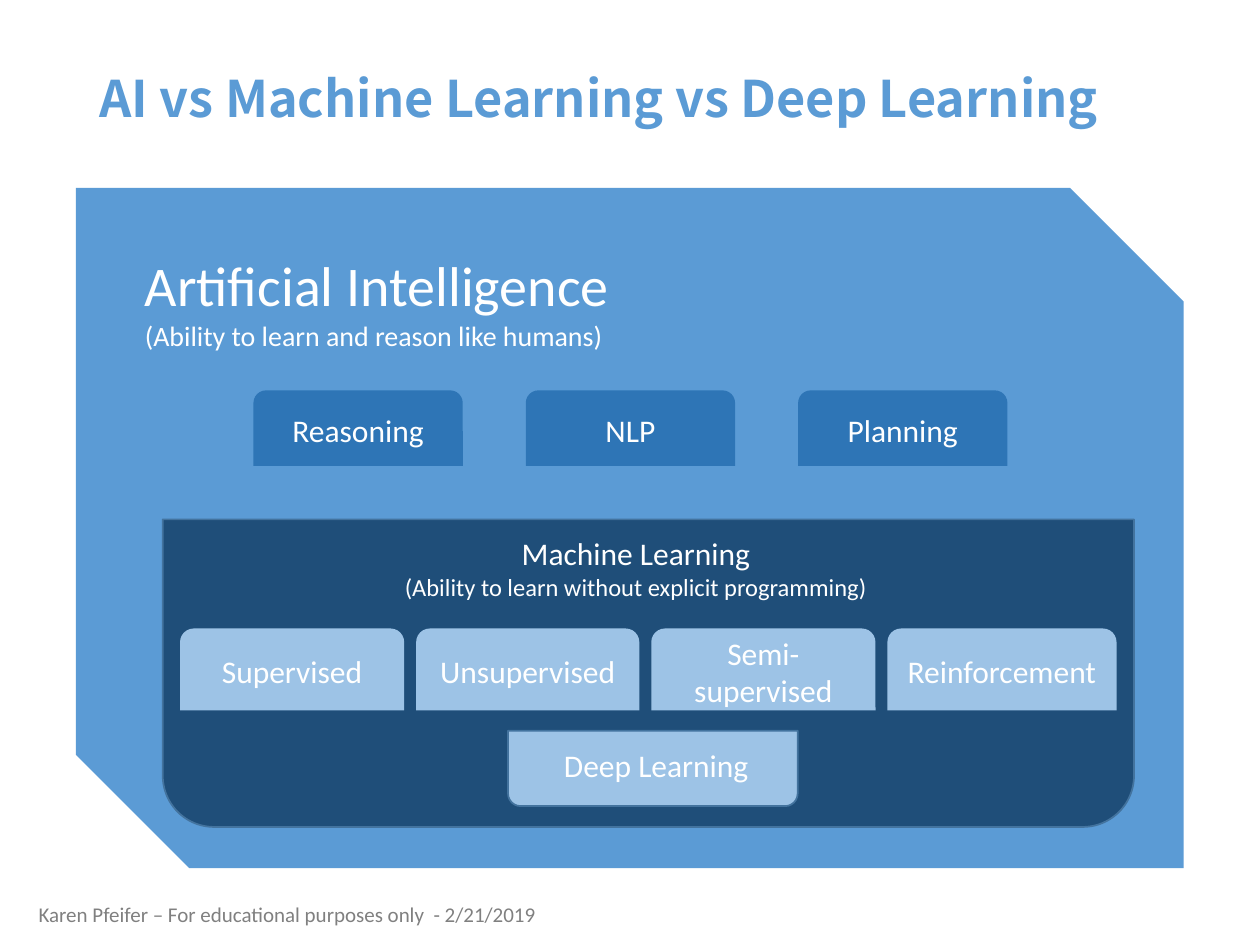
"""Build a slide that nests deep learning in machine learning in artificial intelligence."""
from dataclasses import dataclass

import pptx
import pptx.dml.color
import pptx.enum.shapes
import pptx.enum.text
import pptx.util

Cm = pptx.util.Cm
Color = pptx.dml.color.RGBColor
Preset = pptx.enum.shapes.MSO_SHAPE
Align = pptx.enum.text.PP_ALIGN
Anchor = pptx.enum.text.MSO_ANCHOR

WHITE = Color(0xFF, 0xFF, 0xFF)
GRAY = Color(0x80, 0x80, 0x80)
SKY = Color(0x5B, 0x9B, 0xD5)
BLUE = Color(0x2E, 0x75, 0xB6)
NAVY = Color(0x1F, 0x4E, 0x79)
PALE = Color(0x9D, 0xC3, 0xE6)
OUTLINE = Color(0x43, 0x73, 0x9E)


@dataclass(frozen=True)
class Box:
    """Position and size in centimetres."""
    left: float
    top: float
    width: float
    height: float

    def lengths(self) -> list:
        """Return the four lengths for python-pptx."""
        return [Cm(value) for value in (self.left, self.top, self.width, self.height)]


@dataclass(frozen=True)
class Line:
    """One paragraph and its look."""
    text: str
    size: float
    color: Color = WHITE
    font: str = "Calibri"
    bold: bool = False


@dataclass(frozen=True)
class TileRow:
    """A row of labelled tiles with equal gaps."""
    labels: tuple
    widths: tuple
    left: float
    top: float
    height: float
    gap: float
    fill: Color


def write(shape, lines: list, align=Align.LEFT, anchor=Anchor.TOP) -> None:
    """Fill a shape with formatted paragraphs."""
    frame = shape.text_frame
    frame.word_wrap = True
    frame.auto_size = pptx.enum.text.MSO_AUTO_SIZE.NONE
    frame.vertical_anchor = anchor
    frame.text = "\n".join(line.text for line in lines)
    for paragraph, line in zip(frame.paragraphs, lines):
        paragraph.alignment = align
        paragraph.font.name = line.font
        paragraph.font.size = pptx.util.Pt(line.size)
        paragraph.font.bold = line.bold
        paragraph.font.color.rgb = line.color


def add_panel(slide, preset, box: Box, fill: Color, outlined: bool = False, rotation: int = 0):
    """Add a filled shape without a shadow."""
    shape = slide.shapes.add_shape(preset, *box.lengths())
    shape.shadow.inherit = False
    shape.rotation = rotation
    shape.fill.solid()
    shape.fill.fore_color.rgb = fill
    if outlined:
        shape.line.color.rgb = OUTLINE
        shape.line.width = pptx.util.Pt(1)
    else:
        shape.line.fill.background()
    return shape


def add_label(slide, box: Box, lines: list, align=Align.CENTER):
    """Add a text box."""
    label = slide.shapes.add_textbox(*box.lengths())
    write(label, lines, align)
    return label


def add_tiles(slide, row: TileRow) -> None:
    """Add a row of tiles from left to right."""
    left = row.left
    for label, width in zip(row.labels, row.widths):
        box = Box(left, row.top, width, row.height)
        tile = add_panel(slide, Preset.ROUND_2_SAME_RECTANGLE, box, row.fill)
        write(tile, [Line(label, 18)], Align.CENTER, Anchor.MIDDLE)
        left += width + row.gap


def build() -> None:
    """Build and save the presentation."""
    presentation = pptx.Presentation()
    presentation.slide_width, presentation.slide_height = Cm(25.4), Cm(19.05)
    slide = presentation.slides.add_slide(presentation.slide_layouts[5])

    title = slide.shapes.title
    title.left, title.top, title.width, title.height = Box(1.75, 1.02, 21.9, 2.03).lengths()
    write(title, [Line("AI vs Machine Learning vs Deep Learning", 28.8, SKY, "Noto Sans CJK KR", True)],
          anchor=Anchor.MIDDLE)
    title.text_frame.paragraphs[0].line_spacing = 0.9

    credit = add_label(slide, Box(0.53, 18.11, 12.17, 0.74),
                       [Line("Karen Pfeifer – For educational purposes only  - 2/21/2019", 12, GRAY)],
                       Align.LEFT)
    credit.text_frame.paragraphs[0].line_spacing = 0.9

    intelligence = add_panel(slide, Preset.SNIP_2_DIAG_RECTANGLE, Box(1.53, 3.79, 22.33, 13.71), SKY)
    write(intelligence, [Line("Artificial Intelligence", 32),
                         Line("(Ability to learn and reason like humans)", 16)])
    add_tiles(slide, TileRow(("Reasoning", "NLP", "Planning"), (4.22,) * 3,
                             5.11, 7.87, 1.52, 1.27, BLUE))

    add_panel(slide, Preset.ROUND_2_SAME_RECTANGLE, Box(3.28, 10.47, 19.58, 6.2), NAVY, True, 180)
    add_label(slide, Box(7.87, 10.64, 9.9, 1.63),
              [Line("Machine Learning", 18),
               Line("(Ability to learn without explicit programming)", 14)])
    add_tiles(slide, TileRow(("Supervised", "Unsupervised", "Semi-supervised", "Reinforcement"),
                             (4.52, 4.5, 4.52, 4.62), 3.63, 12.67, 1.65, 0.24, PALE))

    add_panel(slide, Preset.ROUND_2_SAME_RECTANGLE, Box(10.24, 14.73, 5.84, 1.52), PALE, True, 180)
    add_label(slide, Box(8.28, 14.91, 9.9, 1.02), [Line("Deep Learning", 18)])

    presentation.save("out.pptx")


build()
